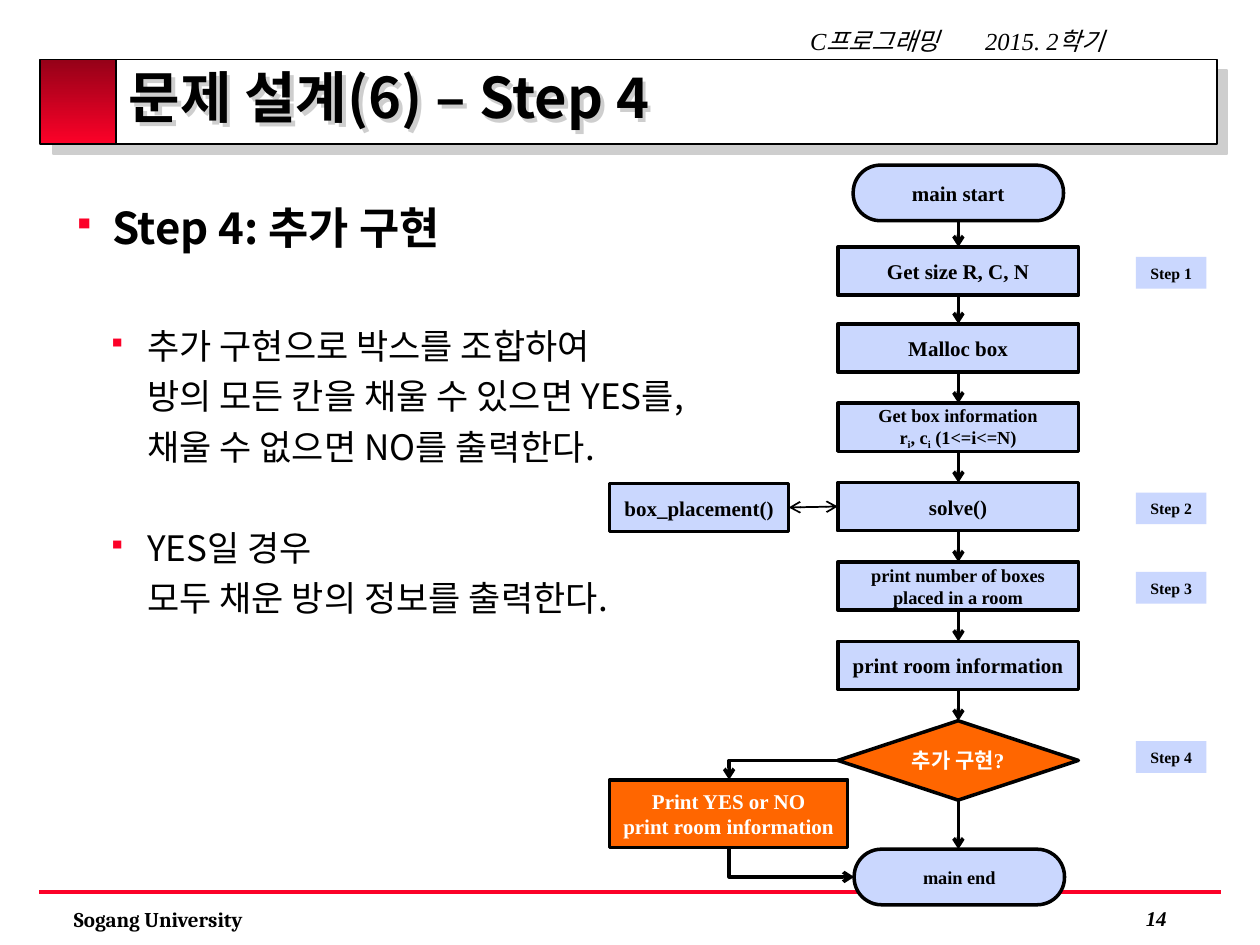
"""Build the Step 4 design slide with its flow chart."""
from dataclasses import dataclass

from lxml import etree
from pptx import Presentation
from pptx import util as u
from pptx.dml.color import RGBColor
from pptx.enum import shapes, text
from pptx.oxml import ns

KIND = shapes.MSO_SHAPE
ALIGN = text.PP_ALIGN


@dataclass(frozen=True)
class Theme:
    """Colours, fonts and type sizes of the slide."""
    black: str = "000000"
    white: str = "FFFFFF"
    red: str = "FC0128"
    dark: str = "950118"
    blue: str = "CAD7FE"
    orange: str = "FF6600"
    shade: str = "CECECE"
    sans: str = "Noto Sans CJK KR"
    serif: str = "Times New Roman"
    foot: str = "Cambria"
    title: float = 32
    head: float = 25
    body: float = 20
    top: float = 14
    flow: float = 12
    small: float = 10.5
    chip: float = 9


T = Theme()


def add(node, tag, **attrs):
    """Append a drawing element to a node and return it."""
    return etree.SubElement(node, ns.qn(tag), attrs)


def style(para, size, color=T.black, face=T.serif, bold=True, slant=False):
    """Format every run of a paragraph."""
    for run in para.runs:
        font = run.font
        font.size, font.bold, font.italic = u.Pt(size), bold, slant
        font.color.rgb = RGBColor.from_string(color)
        font.name = face
        add(run._r.get_or_add_rPr(), "a:ea", typeface=T.sans)


def shade(props, dist):
    """Give shape properties a grey shadow to the lower right."""
    cast = add(add(props, "a:effectLst"), "a:outerShdw", blurRad="0",
               dist=str(u.Pt(dist)), dir="2700000", algn="tl", rotWithShape="0")
    add(cast, "a:srgbClr", val=T.shade)


def label(slide, box, words, size, align=ALIGN.LEFT, **look):
    """Add a text box with one line of text."""
    frame = slide.shapes.add_textbox(*map(u.Cm, box)).text_frame
    frame.word_wrap = True
    frame.text = words
    para = frame.paragraphs[0]
    para.alignment = align
    style(para, size, **look)
    return para


def block(slide, kind, box, fill, width=2):
    """Add a filled preset shape with a black outline, or none."""
    shape = slide.shapes.add_shape(kind, *map(u.Cm, box))
    shape.shadow.inherit = False
    shape.fill.solid()
    shape.fill.fore_color.rgb = RGBColor.from_string(fill)
    if width:
        shape.line.color.rgb = RGBColor.from_string(T.black)
        shape.line.width = u.Pt(width)
    else:
        shape.line.fill.background()
    return shape


def step(slide, kind, box, words, fill=T.blue, size=T.flow, width=2):
    """Add a flow chart shape with centred text; _i marks a subscript."""
    shape = block(slide, kind, box, fill, width)
    if kind == KIND.ROUNDED_RECTANGLE:
        shape.adjustments[0] = 0.49
    frame = shape.text_frame
    frame.vertical_anchor = text.MSO_ANCHOR.MIDDLE
    frame.word_wrap = bool(width)
    frame.margin_left = frame.margin_right = u.Cm(0.2)
    frame.margin_top = frame.margin_bottom = 0
    for num, line in enumerate(words.split("\n")):
        para = frame.add_paragraph() if num else frame.paragraphs[0]
        for spot, part in enumerate(line.split("_i")):
            if spot:
                low = para.add_run()
                low.text = "i"
                low._r.get_or_add_rPr().set("baseline", "-25000")
            para.add_run().text = part
        para.alignment = ALIGN.CENTER
        style(para, size, T.black if fill == T.blue else T.white)


def link(slide, start, stop, ends=("tailEnd",), color=T.black, width=2,
         bent=False):
    """Add a straight or one-bend connector with arrows at the named ends."""
    kind = shapes.MSO_CONNECTOR.ELBOW if bent else shapes.MSO_CONNECTOR.STRAIGHT
    line = slide.shapes.add_connector(kind, *map(u.Cm, start + stop))
    line.line.color.rgb = RGBColor.from_string(color)
    line.line.width = u.Pt(width)
    props = line._element.spPr
    if bent:
        props.find(ns.qn("a:prstGeom")).set("prst", "bentConnector2")
    for end in ends:
        add(line.line._get_or_add_ln(), "a:" + end, type="arrow")
    add(props, "a:effectLst")


def frame_page(slide):
    """Add the title bar, header, footer and page number."""
    bar = block(slide, KIND.RECTANGLE, (0.86, 1.2, 23.67, 1.7), T.white, 1)
    props = bar._element.spPr
    props.remove(props.find(ns.qn("a:effectLst")))
    shade(props, 8.5)
    tile = block(slide, KIND.RECTANGLE, (0.81, 1.2, 1.53, 1.7), T.red, 1)
    tile.fill.gradient()
    tile.fill.gradient_angle = 270
    for stop, color in zip(tile.fill.gradient_stops, (T.dark, T.red)):
        stop.color.rgb = RGBColor.from_string(color)
    link(slide, (0.79, 17.98), (24.61, 17.98), (), T.red, 2.25)
    label(slide, (1.24, 18.16, 7.26, 0.8), "Sogang University", T.flow, face=T.foot)
    label(slide, (21.59, 18.14, 2.18, 0.8), "14", T.flow, ALIGN.RIGHT, slant=True)
    para = label(slide, (16.08, 0.41, 6.83, 0.86), "C프로그래밍\t2015. 2학기",
                 T.top, bold=False, slant=True)
    tabs = add(para._p.get_or_add_pPr(), "a:tabLst")
    add(tabs, "a:tab", pos=str(u.Cm(3.53)), algn="l")


def name_page(slide, words):
    """Place and format the title above the bar."""
    title = slide.shapes.title
    slide.shapes._spTree.append(title._element)
    title.left, title.top, title.width, title.height = map(
        u.Cm, (2.34, 1.12, 22.28, 1.9))
    shade(title._element.spPr, 3)
    frame = title.text_frame
    frame.text = words
    frame.vertical_anchor = text.MSO_ANCHOR.MIDDLE
    para = frame.paragraphs[0]
    para.alignment, para.line_spacing = ALIGN.LEFT, 0.8
    style(para, T.title, face=T.sans)


def list_points(slide, points):
    """Add the bulleted points as (words, size, indent, gap) rows."""
    frame = slide.shapes.add_textbox(*map(u.Cm, (1.22, 3.71, 23.06, 13.34))).text_frame
    frame.word_wrap = True
    for num, (words, size, dent, gap) in enumerate(points):
        para = frame.add_paragraph() if num else frame.paragraphs[0]
        para.text = words
        props = para._p.get_or_add_pPr()
        props.set("marL", str(u.Cm(dent)))
        props.set("indent", str(u.Cm(-0.79)))
        add(add(props, "a:buClr"), "a:srgbClr", val=T.red)
        add(props, "a:buSzPct", val="70000")
        add(props, "a:buChar", char="▪")
        para.line_spacing = 1.2
        if gap:
            para.space_before = u.Pt(gap)
        style(para, size, face=T.sans, bold=not num)


def draw_flow(slide):
    """Draw the flow chart, its links and its step tags."""
    left, wide, high, mid = 16.89, 4.85, 0.97, 19.32
    rows = (("Get size R, C, N", T.flow), ("Malloc box", T.flow),
            ("Get box information\nr_i, c_i (1<=i<=N)", T.small),
            ("solve()", T.flow),
            ("print number of boxes\vplaced in a room".replace("\v", " "), T.small),
            ("print room information", T.flow))
    tops = [4.98] + [6.53 + 1.6 * num for num in range(6)]
    oval = KIND.ROUNDED_RECTANGLE
    step(slide, oval, (17.2, 3.33, 4.24, 1.12), "main start")
    step(slide, oval, (17.22, 17.12, 4.24, 1.12), "main end", size=T.small)
    for top, (words, size) in zip(tops, rows):
        step(slide, KIND.RECTANGLE, (left, top, wide, high), words, size=size)
    step(slide, KIND.DIAMOND, (left, tops[-1], wide, 1.6), "추가 구현?", T.orange)
    step(slide, KIND.RECTANGLE, (12.29, 9.75, 3.61, high), "box_placement()")
    step(slide, KIND.RECTANGLE, (12.29, 15.72, 4.8, 1.37),
         "Print YES or NO\nprint room information", T.orange)
    lows = [4.45] + [top + high for top in tops[:-1]] + [16.13]
    for low, top in zip(lows, tops + [17.12]):
        link(slide, (mid, low), (mid, top))
    link(slide, (15.9, 10.23), (left, 10.21), ("headEnd", "tailEnd"), width=1)
    link(slide, (left, 15.33), (14.7, 15.72), bent=True)
    link(slide, (17.22, 17.68), (14.7, 17.09), ("headEnd",), bent=True)
    for num, top in enumerate((5.18, 9.93, 11.53, 14.94), 1):
        step(slide, KIND.RECTANGLE, (22.9, top, 1.42, 0.64), f"Step {num}",
             size=T.chip, width=0)


def main():
    """Build and save the slide."""
    deck = Presentation()
    deck.slide_width, deck.slide_height = u.Cm(25.4), u.Cm(19.05)
    slide = deck.slides.add_slide(deck.slide_layouts[5])
    frame_page(slide)
    name_page(slide, "문제 설계(6) – Step 4")
    list_points(slide, (
        ("Step 4: 추가 구현", T.head, 0.79, 0),
        ("추가 구현으로 박스를 조합하여\v방의 모든 칸을 채울 수 있으면 YES를,\v"
         "채울 수 없으면 NO를 출력한다.", T.body, 1.5, 36),
        ("YES일 경우\v모두 채운 방의 정보를 출력한다.", T.body, 1.5, 29)))
    draw_flow(slide)
    deck.save("out.pptx")


if __name__ == "__main__":
    main()
